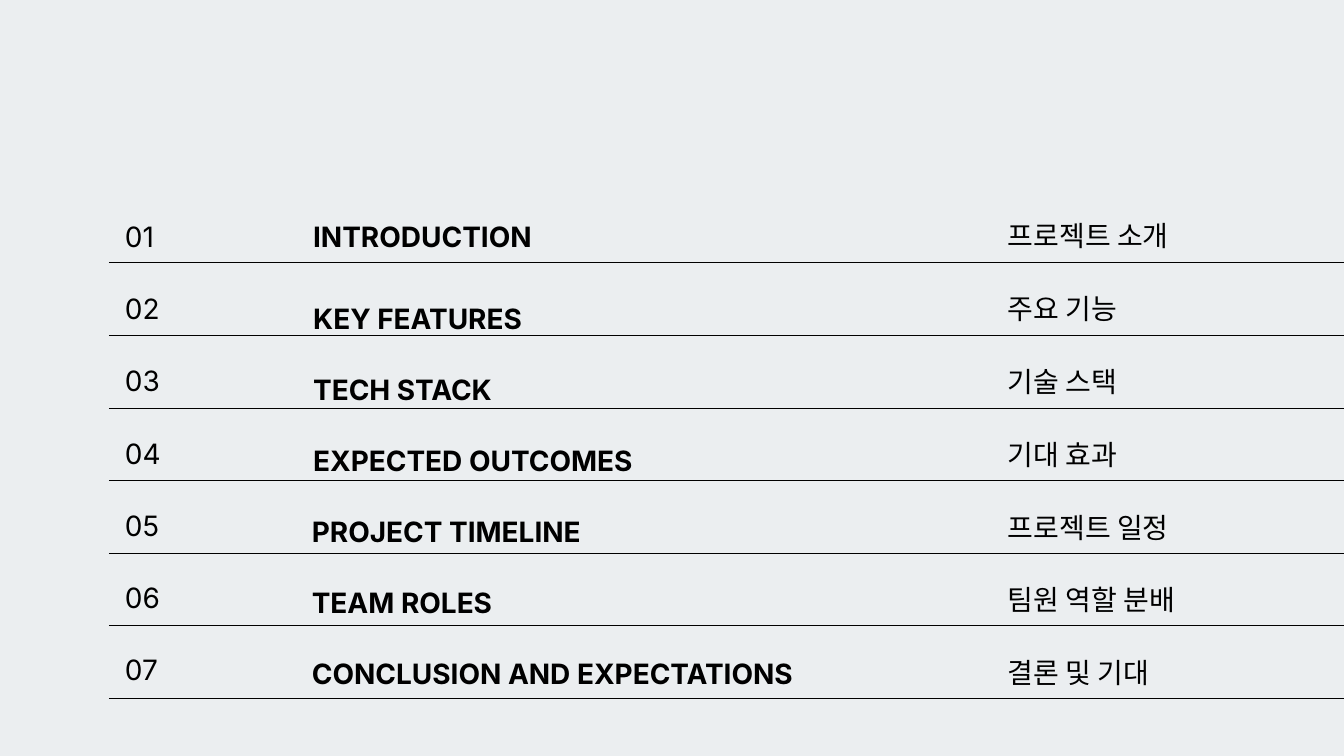
from dataclasses import dataclass
from typing import Any

from lxml import etree
from pptx import Presentation
from pptx.dml.color import RGBColor
from pptx.enum.shapes import MSO_CONNECTOR
from pptx.enum.text import MSO_AUTO_SIZE
from pptx.oxml.ns import qn
from pptx.util import Inches, Pt

STRAIGHT = MSO_CONNECTOR.STRAIGHT
GROW = MSO_AUTO_SIZE.SHAPE_TO_FIT_TEXT
BACKGROUND = RGBColor(0xEB, 0xEE, 0xF0)
INK = RGBColor(0x00, 0x00, 0x00)

AGENDA = [
    ("INTRODUCTION", "프로젝트 소개"),
    ("KEY FEATURES", "주요 기능"),
    ("TECH STACK", "기술 스택"),
    ("EXPECTED OUTCOMES", "기대 효과"),
    ("PROJECT TIMELINE", "프로젝트 일정"),
    ("TEAM ROLES", "팀원 역할 분배"),
    ("CONCLUSION AND EXPECTATIONS", "결론 및 기대"),
]


@dataclass
class AgendaSlide:
    """Style and current slide; lengths are percentages of the slide's size."""
    prs: Any
    s: Any
    font: str = "Inter"
    size: int = 30
    leading: int = 75
    rule_width: float = 0.75

    def x(self, share):
        return round(self.prs.slide_width * share / 100)

    def y(self, share):
        return round(self.prs.slide_height * share / 100)

    def background(self, color):
        fill = self.s.background.fill
        fill.solid()
        fill.fore_color.rgb = color

    def text(self, content, left, top, width, height, bold=False):
        box = self.s.shapes.add_textbox(
            self.x(left), self.y(top), self.x(width), self.y(height))
        tf = box.text_frame
        tf.word_wrap = True
        tf.auto_size = GROW
        tf.margin_left = tf.margin_top = tf.margin_right = tf.margin_bottom = 0
        p = tf.paragraphs[0]
        p.line_spacing = Pt(self.leading)
        r = p.add_run()
        r.text = content
        r.font.name = self.font
        r.font.size = Pt(self.size)
        r.font.bold = bold
        r.font.color.rgb = INK

    def rule(self, left, right, top):
        line = self.s.shapes.add_connector(
            STRAIGHT, self.x(left), self.y(top), self.x(right), self.y(top))
        line.line.color.rgb = INK
        line.line.width = Pt(self.rule_width)
        etree.SubElement(line._element.spPr, qn("a:effectLst"))


def main():
    prs = Presentation()
    prs.slide_width, prs.slide_height = Inches(20), Inches(11.25)
    agenda = AgendaSlide(prs, prs.slides.add_slide(prs.slide_layouts[6]))
    agenda.background(BACKGROUND)

    for i, (title, korean) in enumerate(AGENDA):
        # Number
        agenda.text(f"{i + 1:02}", 9.3, 24.27 + 9.53 * i, 7.5, 7.9)
        # Title: the first sits higher than the even run of the others
        title_left = 23.3 if i < 4 else 23.2
        title_top = 25.72 + 9.39 * i if i else 24.27
        agenda.text(title, title_left, title_top, 48.4, 9.33, bold=True)
        # Korean title
        agenda.text(korean, 75, 24.09 + 9.64 * i, 24.15, 7.9)
        # Rule under the row
        agenda.rule(8.1, 100, 34.76 + 9.6 * i)

    prs.save("out.pptx")


if __name__ == "__main__":
    main()
